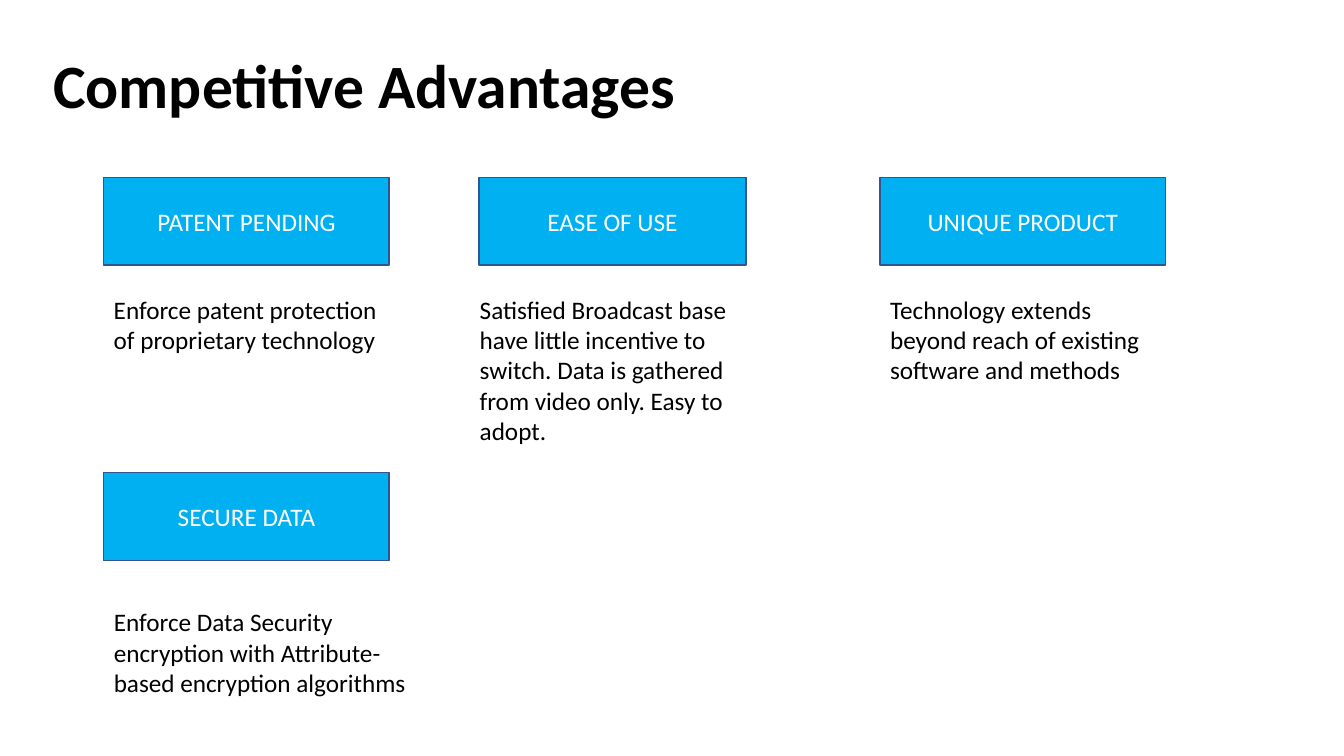
"""Build the Competitive Advantages slide."""
from dataclasses import dataclass

from pptx import Presentation
from pptx.dml.color import RGBColor
from pptx.enum.shapes import MSO_SHAPE
from pptx.enum.text import MSO_ANCHOR, MSO_AUTO_SIZE, PP_ALIGN
from pptx.util import Pt


@dataclass(frozen=True)
class Theme:
    font: str = "Calibri"
    title_size: int = 44
    body_size: int = 18
    ink: str = "000000"
    heading_ink: str = "FFFFFF"
    heading_fill: str = "00B0F0"
    heading_line: str = "325491"


theme = Theme()
PX = 9144  # 100 px to the inch


def rgb(value):
    return RGBColor.from_string(value)


def write(shape, text, *, size=theme.body_size, color=theme.ink, bold=False,
          align=PP_ALIGN.LEFT, anchor=MSO_ANCHOR.TOP, fit=MSO_AUTO_SIZE.SHAPE_TO_FIT_TEXT):
    frame = shape.text_frame
    frame.word_wrap = True
    frame.auto_size = fit
    frame.vertical_anchor = anchor
    paragraph = frame.paragraphs[0]
    paragraph.alignment = align
    run = paragraph.add_run()
    run.text = text
    run.font.name = theme.font
    run.font.size = Pt(size)
    run.font.bold = bold
    run.font.color.rgb = rgb(color)


deck = Presentation()
deck.slide_width, deck.slide_height = 1333 * PX, 750 * PX
slide = deck.slides.add_slide(deck.slide_layouts[6])

title = slide.shapes.add_textbox(43 * PX, 42 * PX, 1113 * PX, 84 * PX)
write(title, "Competitive Advantages", size=theme.title_size, bold=True)

HEADING_HEIGHT = 87
FIRST_ROW, SECOND_ROW = (176, 287), (469, 597)
advantages = [
    ("PATENT PENDING", 103, 283, FIRST_ROW,
     "Enforce patent protection of proprietary technology", 283, 71),
    ("EASE OF USE", 475, 265, FIRST_ROW,
     "Satisfied Broadcast base have little incentive to switch. "
     "Data is gathered from video only. Easy to adopt.", 283, 162),
    ("UNIQUE PRODUCT", 873, 283, FIRST_ROW,
     "Technology extends beyond reach of existing software and methods", 283, 101),
    ("SECURE DATA", 103, 283, SECOND_ROW,
     "Enforce Data Security encryption with Attribute-based encryption algorithms", 329, 101),
]

for name, left, width, (heading_top, detail_top), detail, detail_width, detail_height in advantages:
    heading = slide.shapes.add_shape(MSO_SHAPE.RECTANGLE, left * PX, heading_top * PX,
                                     width * PX, HEADING_HEIGHT * PX)
    heading.shadow.inherit = False
    heading.fill.solid()
    heading.fill.fore_color.rgb = rgb(theme.heading_fill)
    heading.line.color.rgb = rgb(theme.heading_line)
    heading.line.width = Pt(1)
    write(heading, name, color=theme.heading_ink, align=PP_ALIGN.CENTER,
          anchor=MSO_ANCHOR.MIDDLE, fit=MSO_AUTO_SIZE.NONE)

    detail_left = left + min(0, width - detail_width) // 2 if name == "EASE OF USE" else left
    explanation = slide.shapes.add_textbox(detail_left * PX, detail_top * PX,
                                           detail_width * PX, detail_height * PX)
    write(explanation, detail)

deck.save("out.pptx")
